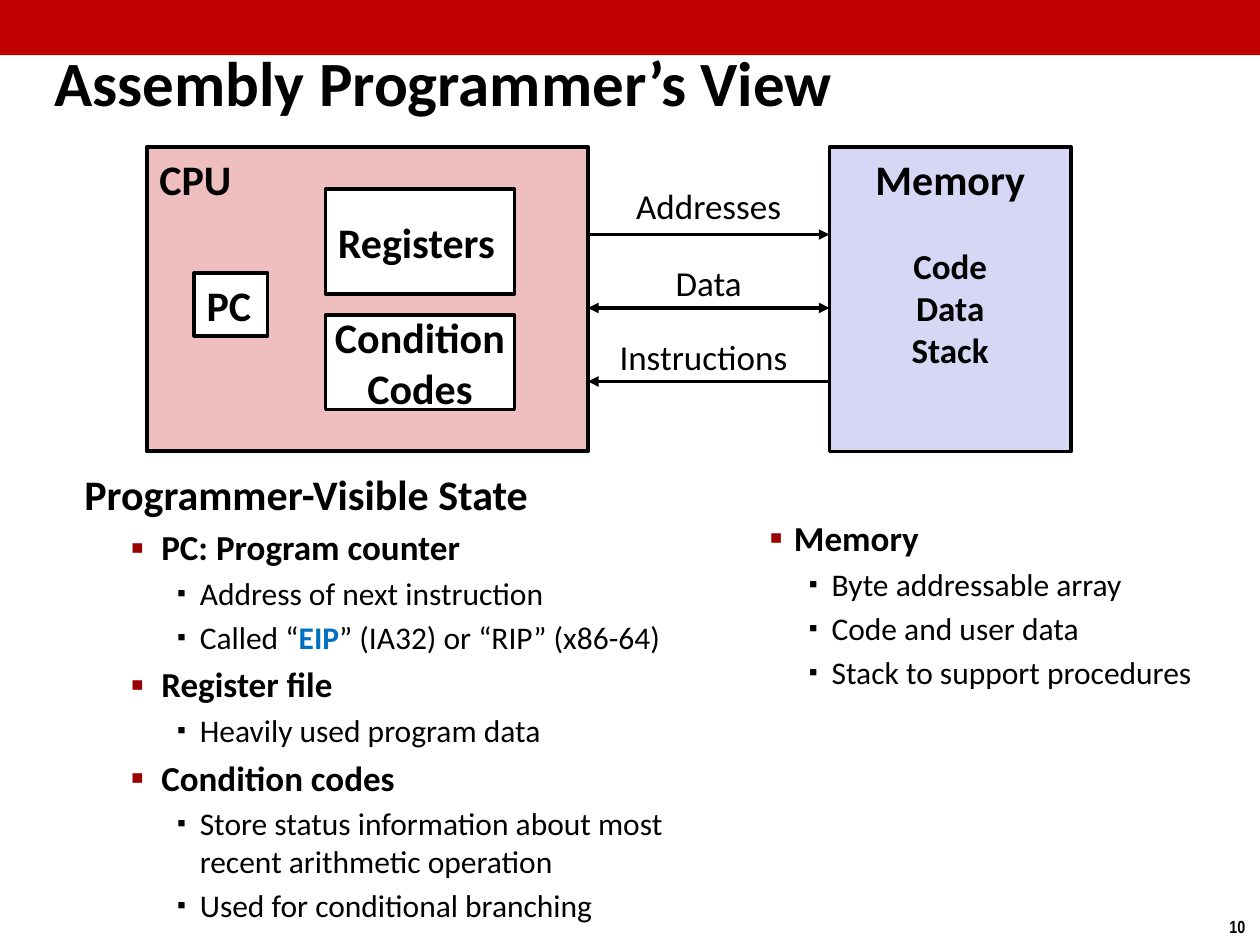
from lxml import etree
from pptx import Presentation
from pptx.dml.color import RGBColor
from pptx.enum.shapes import MSO_CONNECTOR, MSO_SHAPE
from pptx.enum.text import MSO_ANCHOR, MSO_AUTO_SIZE, PP_ALIGN
from pptx.oxml.ns import qn
from pptx.util import Pt

RECTANGLE = MSO_SHAPE.RECTANGLE
STRAIGHT = MSO_CONNECTOR.STRAIGHT
TOP, MIDDLE = MSO_ANCHOR.TOP, MSO_ANCHOR.MIDDLE
LEFT, CENTER = PP_ALIGN.LEFT, PP_ALIGN.CENTER

BLACK = RGBColor(0x00, 0x00, 0x00)
WHITE = RGBColor(0xFF, 0xFF, 0xFF)
BAR_RED = RGBColor(0xC0, 0x00, 0x00)
BULLET_RED = RGBColor(0x99, 0x00, 0x00)
CPU_PINK = RGBColor(0xEF, 0xBF, 0xBF)
MEMORY_BLUE = RGBColor(0xD6, 0xD6, 0xF5)
ACCENT_BLUE = RGBColor(0x00, 0x70, 0xC0)

TITLE = "Assembly Programmer’s View"
TITLE_AREA = (24, 24, 569, 45)
PAGE_NUMBER = "10"
ACCENTED = "EIP"

# Level and text of each line
STATE_LINES = [
    (0, "Programmer-Visible State"),
    (1, "PC: Program counter"),
    (2, "Address of next instruction"),
    (2, "Called “EIP” (IA32) or “RIP” (x86-64)"),
    (1, "Register file"),
    (2, "Heavily used program data"),
    (1, "Condition codes"),
    (2, "Store status information about most recent arithmetic operation"),
    (2, "Used for conditional branching"),
]
MEMORY_LINES = [
    (1, "Memory"),
    (2, "Byte addressable array"),
    (2, "Code and user data"),
    (2, "Stack to support procedures"),
]
# Placeholder index, area, lines, (left margin, indent) per level
LISTS = [
    (1, (41, 264, 364, 243), STATE_LINES, [(18, -18), (44, -17.5), (66, -13)]),
    (2, (423.5, 291.5, 285, 124), MEMORY_LINES, [None, (23, -14), (44.5, -13)]),
]
# Size, bold, bullet size in percent, bullet colour per level
LEVELS = [(24, True, None, None), (20, True, 110, BULLET_RED), (18, False, 80, BLACK)]

CPU_AREA = (84, 84, 252, 174)
MEMORY_AREA = (474, 84, 138, 174)
# Area, fill, line width, text lines, anchor, alignment
BLOCKS = [
    (CPU_AREA, CPU_PINK, 2.25, ["CPU"], TOP, LEFT),
    (MEMORY_AREA, MEMORY_BLUE, 2, ["Memory"], TOP, CENTER),
    ((111, 156, 42, 36), WHITE, 2, ["PC"], MIDDLE, LEFT),
    ((186, 108, 108, 60), WHITE, 2, ["Registers"], MIDDLE, LEFT),
    ((186, 180, 108, 54), WHITE, 2, ["Condition", "Codes"], MIDDLE, CENTER),
]
MEMORY_CONTENT = ["Code", "Data", "Stack"]
# Label, label top, label width, arrow height, line ends with a head
BUSES = [
    ("Addresses", 102, 138, 134, ["tailEnd"]),
    ("Data", 146, 138, 176, ["headEnd", "tailEnd"]),
    ("Instructions", 188, 132, 218, ["headEnd"]),
]


def points(values):
    return [Pt(value) for value in values]


def place(shape, area):
    shape.left, shape.top, shape.width, shape.height = points(area)


def style(paragraph, size, bold, name="Calibri", align=LEFT):
    paragraph.alignment = align
    font = paragraph.font
    font.name, font.size, font.bold = name, Pt(size), bold
    font.color.rgb = BLACK


def write(frame, lines, size, bold, name="Calibri", align=LEFT):
    for number, text in enumerate(lines):
        paragraph = frame.add_paragraph() if number else frame.paragraphs[0]
        paragraph.text = text
        style(paragraph, size, bold, name, align)


def add_text(page, area, lines, size, bold, name="Calibri", align=CENTER, wrap=True):
    box = page.shapes.add_textbox(*points(area))
    box.text_frame.word_wrap = wrap
    write(box.text_frame, lines, size, bold, name, align)


def add_rectangle(page, area, fill, line_width=None):
    box = page.shapes.add_shape(RECTANGLE, *points(area))
    box.shadow.inherit = False
    box.fill.solid()
    box.fill.fore_color.rgb = fill
    if line_width:
        box.line.color.rgb = BLACK
        box.line.width = Pt(line_width)
    else:
        box.line.fill.background()
    return box


def add_arrow(page, start, end, height, heads):
    arrow = page.shapes.add_connector(STRAIGHT, *points((start, height, end, height)))
    arrow.line.color.rgb = BLACK
    arrow.line.width = Pt(2)
    line = arrow.line._get_or_add_ln()
    for head in heads:
        etree.SubElement(line, qn("a:" + head), type="triangle")
    etree.SubElement(arrow._element.spPr, qn("a:effectLst"))


def set_bullet(paragraph, margin, indent, percent, color):
    properties = paragraph._p.get_or_add_pPr()
    properties.set("marL", str(Pt(margin)))
    properties.set("indent", str(Pt(indent)))
    if percent is None:
        etree.SubElement(properties, qn("a:buNone"))
        return
    bullet_color = etree.SubElement(properties, qn("a:buClr"))
    etree.SubElement(bullet_color, qn("a:srgbClr"), val=str(color))
    etree.SubElement(properties, qn("a:buSzPct"), val=str(percent * 1000))
    etree.SubElement(properties, qn("a:buFont"), typeface="Arial")
    etree.SubElement(properties, qn("a:buChar"), char="▪")


def add_spans(paragraph, text):
    """Add the text as spans, with the accented word in bold blue."""
    before, accent, after = text.partition(ACCENTED)
    for part in filter(None, (before, accent, after)):
        span = paragraph.add_run()
        span.text = part
        if part == ACCENTED:
            span.font.bold = True
            span.font.color.rgb = ACCENT_BLUE


def fill_list(holder, area, lines, indents):
    place(holder, area)
    frame = holder.text_frame
    frame.auto_size = MSO_AUTO_SIZE.NONE
    for number, (level, text) in enumerate(lines):
        paragraph = frame.add_paragraph() if number else frame.paragraphs[0]
        size, bold, percent, color = LEVELS[level]
        paragraph.level = level
        set_bullet(paragraph, *indents[level], percent, color)
        paragraph.space_before = Pt(0.2 * size if number else 0)
        add_spans(paragraph, text)
        style(paragraph, size, bold)


def main():
    deck = Presentation()
    deck.slide_width, deck.slide_height = Pt(720), Pt(540)
    page = deck.slides.add_slide(deck.slide_layouts.get_by_name("Two Content"))

    title = page.shapes.title
    place(title, TITLE_AREA)
    title.text_frame.auto_size = MSO_AUTO_SIZE.NONE
    title.text_frame.vertical_anchor = MIDDLE
    write(title.text_frame, [TITLE], 36, True)
    for index, area, lines, indents in LISTS:
        fill_list(page.placeholders[index], area, lines, indents)

    add_rectangle(page, (0, 0, 720, 31.5), BAR_RED)
    add_text(page, (695.5, 520, 24.5, 19.5), [PAGE_NUMBER], 10, True,
             "Arial Narrow", LEFT, wrap=False)

    for area, fill, line_width, lines, anchor, align in BLOCKS:
        box = add_rectangle(page, area, fill, line_width)
        box.text_frame.word_wrap = False
        box.text_frame.vertical_anchor = anchor
        write(box.text_frame, lines, 24, True, align=align)
    add_text(page, (498, 136, 90, 80), MEMORY_CONTENT, 20, True)

    bus_start = CPU_AREA[0] + CPU_AREA[2]
    for label, top, width, height, heads in BUSES:
        add_arrow(page, bus_start, MEMORY_AREA[0], height, heads)
        add_text(page, (bus_start, top, width, 31), [label], 20, False)

    deck.save("out.pptx")


if __name__ == "__main__":
    main()
